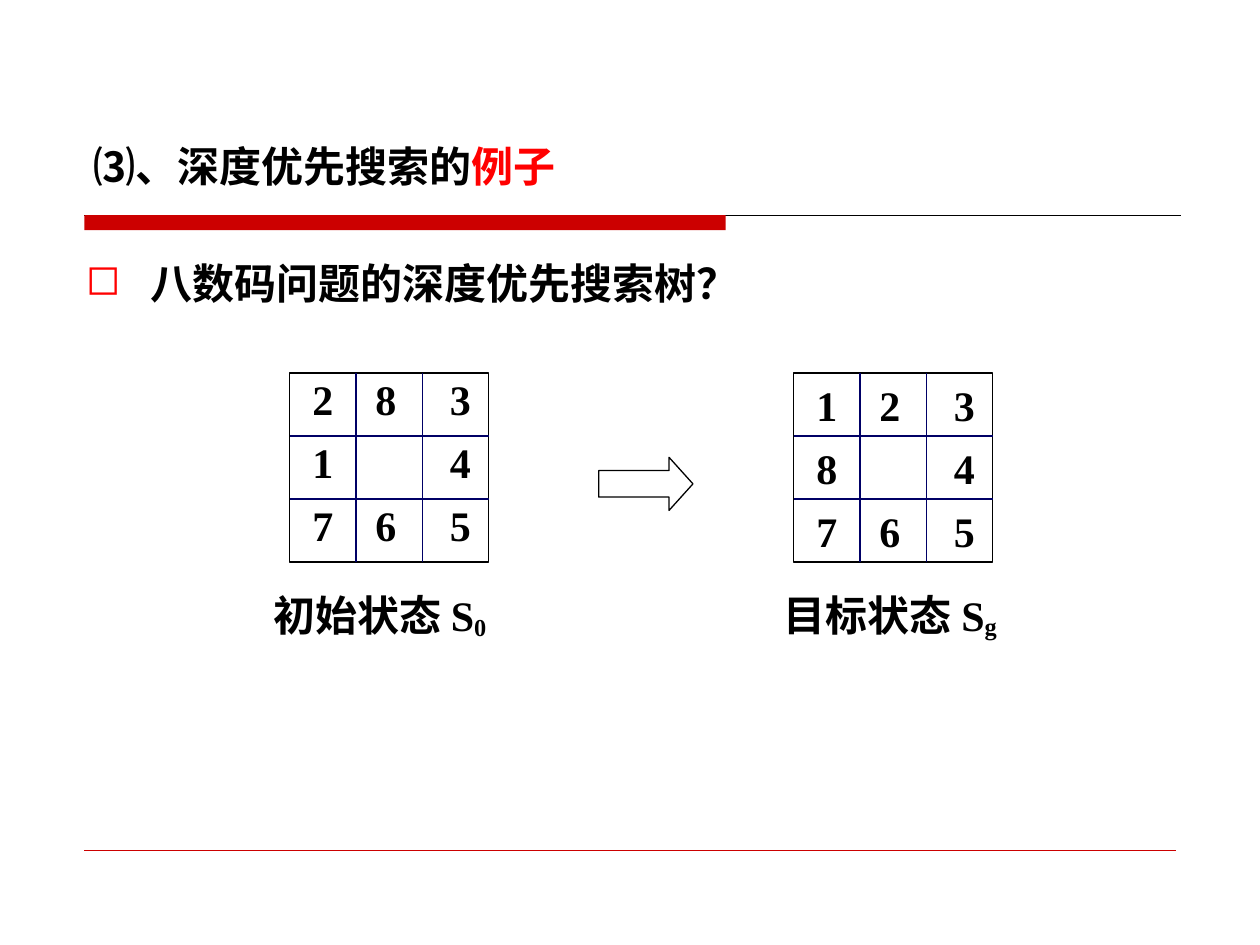
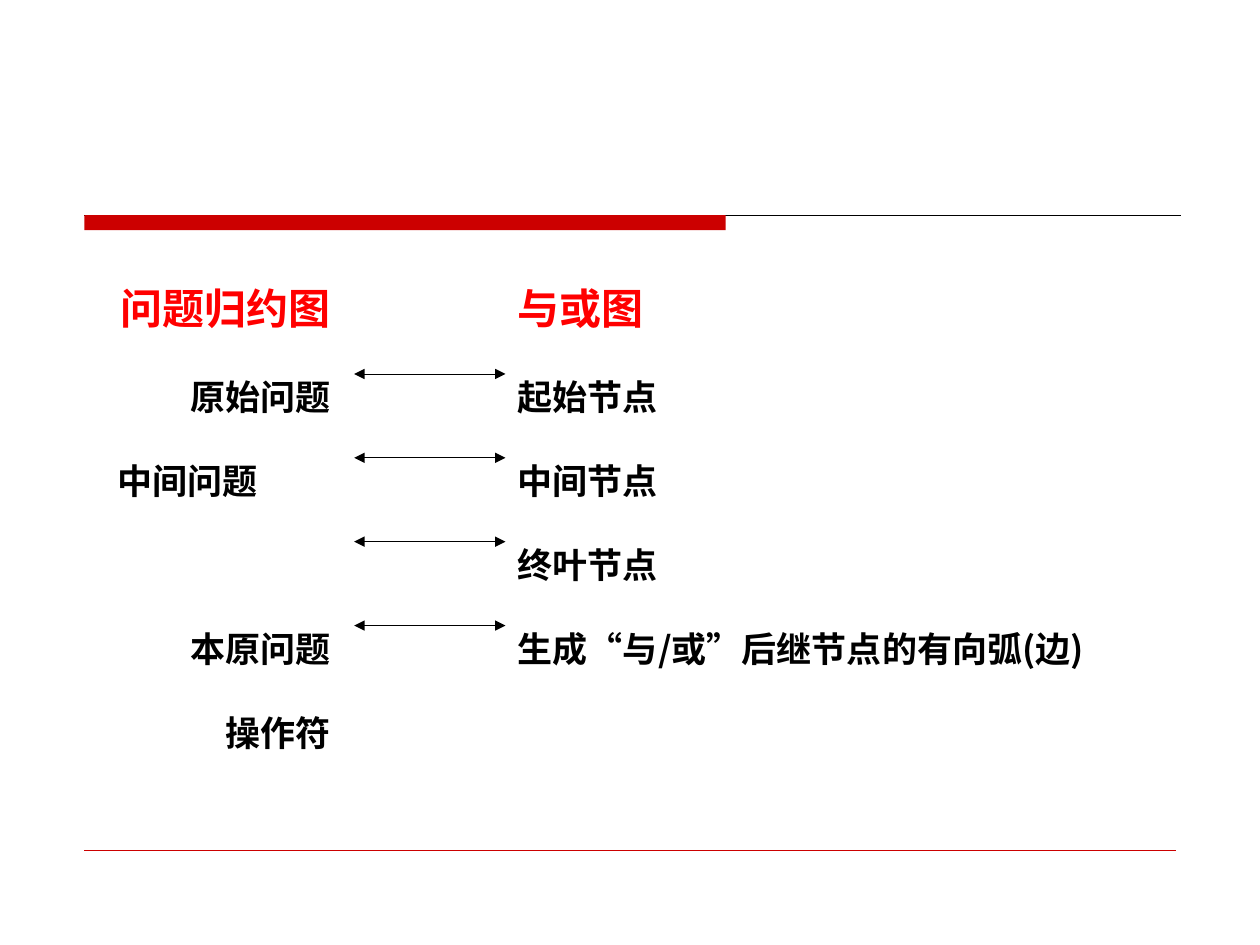
from lxml.etree import SubElement
from pptx import Presentation
from pptx.dml.color import RGBColor
from pptx.enum.shapes import MSO_CONNECTOR, MSO_SHAPE
from pptx.enum.text import MSO_ANCHOR as Anchor, PP_ALIGN as Align
from pptx.oxml.ns import qn
from pptx.util import Cm, Pt

COLORS = {"band": "CC0000", "accent": "FF0000", "text": "000000", "grid": "000066"}
SANS, SERIF = "Noto Sans CJK SC", "Times New Roman"
TITLE_ONLY, BLANK = 5, 6
MARGIN = 1.7  # left edge of band and footer, cm


def rgb(name):
    return RGBColor.from_string(COLORS[name])


def set_font(paragraph, size=24, color="text", latin=SANS):
    font = paragraph.font
    font.size, font.bold, font.name = Pt(size), True, latin
    font.color.rgb = rgb(color)
    defaults = paragraph._p.pPr.find(qn("a:defRPr"))
    SubElement(defaults, qn("a:ea"), typeface=SANS)


def set_frame(shape, inset_x=0, inset_y=0, anchor=Anchor.MIDDLE):
    frame = shape.text_frame
    frame.word_wrap = True
    frame.vertical_anchor = anchor
    frame.margin_left = frame.margin_right = Cm(inset_x)
    frame.margin_top = frame.margin_bottom = Cm(inset_y)
    return frame


def add_label(slide, box, text, align=Align.LEFT, latin=SANS):
    """One line of bold text, centred vertically in its box."""
    label = slide.shapes.add_textbox(*map(Cm, box))
    paragraph = set_frame(label).paragraphs[0]
    paragraph.add_run().text = text
    paragraph.alignment = align
    set_font(paragraph, latin=latin)
    return paragraph


def add_line(slide, start, end, color, width, arrows=False):
    line = slide.shapes.add_connector(MSO_CONNECTOR.STRAIGHT, *map(Cm, (*start, *end)))
    line.line.color.rgb = rgb(color)
    line.line.width = Pt(width)
    if arrows:
        outline = line.line._get_or_add_ln()
        for tip in ("a:headEnd", "a:tailEnd"):
            SubElement(outline, qn(tip), type="triangle")
    SubElement(line._element.spPr, qn("a:effectLst"))


def add_outline(slide, preset, box):
    shape = slide.shapes.add_shape(preset, *map(Cm, box))
    shape.shadow.inherit = False
    shape.fill.background()
    shape.line.color.rgb = rgb("text")
    shape.line.width = Pt(0.75)
    return shape


def add_frame_lines(slide):
    """Band under the title and footer rule, on every slide."""
    top = 4.34
    add_line(slide, (MARGIN, top), (23.8, top), "text", 0.75)
    band = slide.shapes.add_shape(
        MSO_SHAPE.RECTANGLE, Cm(MARGIN), Cm(top), Cm(12.93), Cm(0.3))
    band.shadow.inherit = False
    band.fill.solid()
    band.fill.fore_color.rgb = rgb("band")
    band.line.fill.background()
    add_line(slide, (MARGIN, 17.15), (23.7, 17.15), "band", 0.25)


def add_title(slide, box, plain, highlight):
    title = slide.shapes.title
    title.left, title.top, title.width, title.height = map(Cm, box)
    paragraph = set_frame(title).paragraphs[0]
    paragraph.alignment = Align.LEFT
    paragraph.add_run().text = plain
    accent = paragraph.add_run()
    accent.text = highlight
    accent.font.color.rgb = rgb("accent")
    set_font(paragraph)


def add_bullet(slide, box, text):
    bullet = slide.shapes.add_textbox(*map(Cm, box))
    paragraph = set_frame(bullet).paragraphs[0]
    paragraph.text = text
    props = paragraph._p.get_or_add_pPr()
    props.set("marL", str(Cm(1.3)))
    props.set("indent", str(-Cm(1.3)))
    color = SubElement(props, qn("a:buClr"))
    SubElement(color, qn("a:srgbClr"), val=COLORS["accent"])
    SubElement(props, qn("a:buChar"), char="◻")
    set_font(paragraph)


def add_puzzle(slide, box, rows, digit_height, caption, subscript, caption_shift, drop):
    """Eight-puzzle board with its caption below."""
    left, top, width, height = box
    add_outline(slide, MSO_SHAPE.RECTANGLE, box)
    for step in (1, 2):
        x, y = left + width * step / 3, top + height * step / 3
        add_line(slide, (left, y), (left + width, y), "grid", 0.75)
        add_line(slide, (x, top), (x, top + height), "grid", 0.75)

    for row, digits in enumerate(rows):
        for offset, digit in zip((0.2, 1.47, 2.97), digits):
            if digit != " ":
                cell = (left + offset, top + row * height / 3, 0.94, digit_height)
                add_label(slide, cell, digit, Align.CENTER, SERIF)

    name = add_label(slide, (left + caption_shift, top + 4.37, 4.75, 1.02),
                     caption, latin=SERIF)
    index = name.add_run()
    index.text = subscript
    index.font._rPr.set("baseline", str(drop * 1000))


def add_column(slide, box, heading, entries, align):
    """Red heading over evenly spaced entries of (text, alignment, rows skipped)."""
    column = slide.shapes.add_textbox(*map(Cm, box))
    frame = set_frame(column, 0.25, 0.13, Anchor.TOP)
    pitch = 48
    head = frame.paragraphs[0]
    head.text, head.alignment, head.line_spacing = heading, align, Pt(60)
    set_font(head, color="accent")
    for text, entry_align, skipped in entries:
        entry = frame.add_paragraph()
        entry.text, entry.alignment, entry.line_spacing = text, entry_align, Pt(pitch)
        entry.space_before = Pt(pitch * skipped)
        set_font(entry, 20)


def build_puzzle_slide(prs):
    slide = prs.slides.add_slide(prs.slide_layouts[TITLE_ONLY])
    add_frame_lines(slide)
    add_title(slide, (1.88, 2.84, 9.53, 1.02), "⑶、深度优先搜索的", "例子")
    add_bullet(slide, (1.73, 5.18, 13.34, 1.02), "八数码问题的深度优先搜索树？")
    add_puzzle(slide, (5.84, 7.52, 4.01, 3.81), ("283", "1 4", "765"), 1.02,
               "初始状态 S", "0", -0.33, -12)
    add_puzzle(slide, (16, 7.52, 4.01, 3.81), ("123", "8 4", "765"), 1.27,
               "目标状态 S", "g", -0.2, -8)
    arrow = add_outline(slide, MSO_SHAPE.RIGHT_ARROW, (12.07, 9.22, 1.9, 1.07))
    arrow.adjustments[0], arrow.adjustments[1] = 0.5, 0.45


def build_mapping_slide(prs):
    slide = prs.slides.add_slide(prs.slide_layouts[BLANK])
    add_frame_lines(slide)
    top, height = 4.47, 9.14
    problems = [("原始问题", Align.RIGHT, 0), ("中间问题", Align.LEFT, 0),
                ("本原问题", Align.RIGHT, 1), ("操作符", Align.RIGHT, 0)]
    nodes = ["起始节点", "中间节点", "终叶节点", "生成“与/或”后继节点的有向弧(边)"]
    add_column(slide, (2.11, top, 4.8, height), "问题归约图", problems, Align.RIGHT)
    add_column(slide, (10.19, top, 13.51, height), "与或图",
               [(node, Align.LEFT, 0) for node in nodes], Align.LEFT)
    # Double arrows between the columns
    for row in range(len(nodes)):
        y = top + 3.07 + row * 1.69
        add_line(slide, (7.14, y), (10.19, y), "text", 0.5, arrows=True)


def main():
    prs = Presentation()
    prs.slide_width, prs.slide_height = Cm(25.4), Cm(19.05)
    build_puzzle_slide(prs)
    build_mapping_slide(prs)
    prs.save("out.pptx")


if __name__ == "__main__":
    main()
